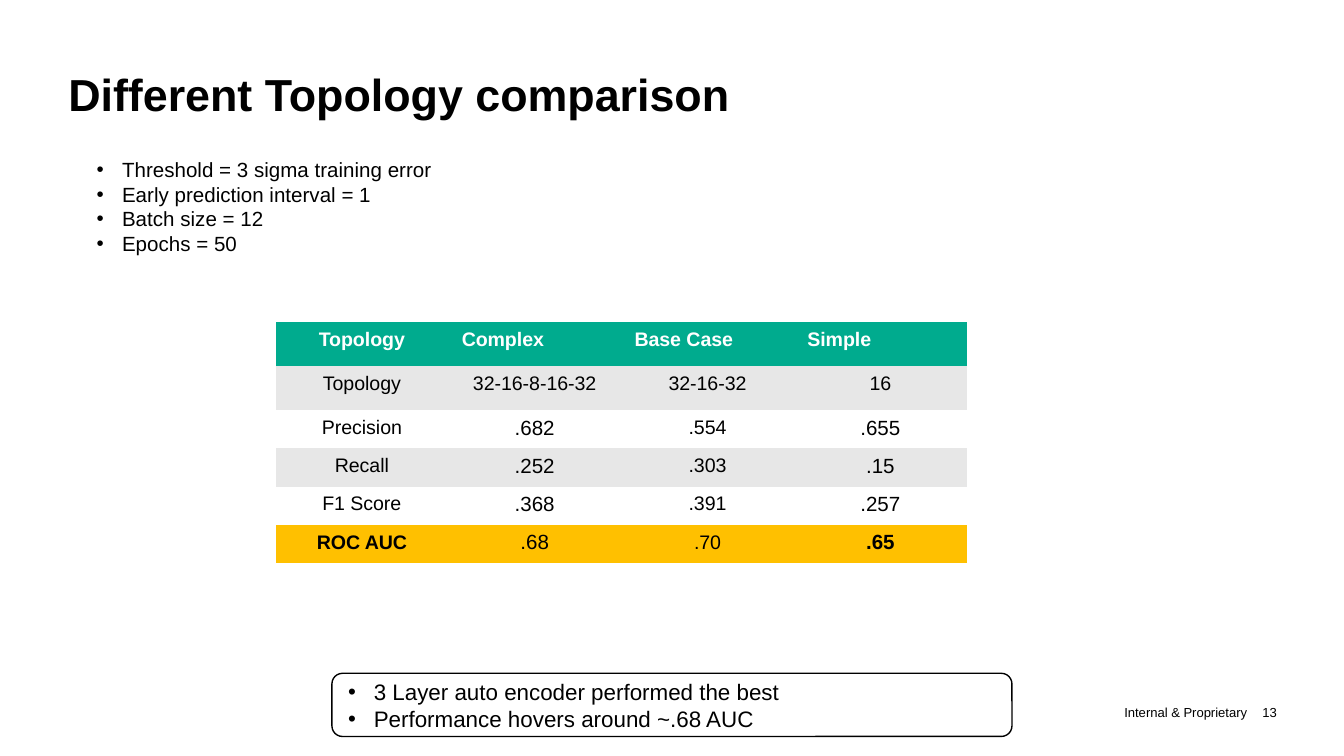
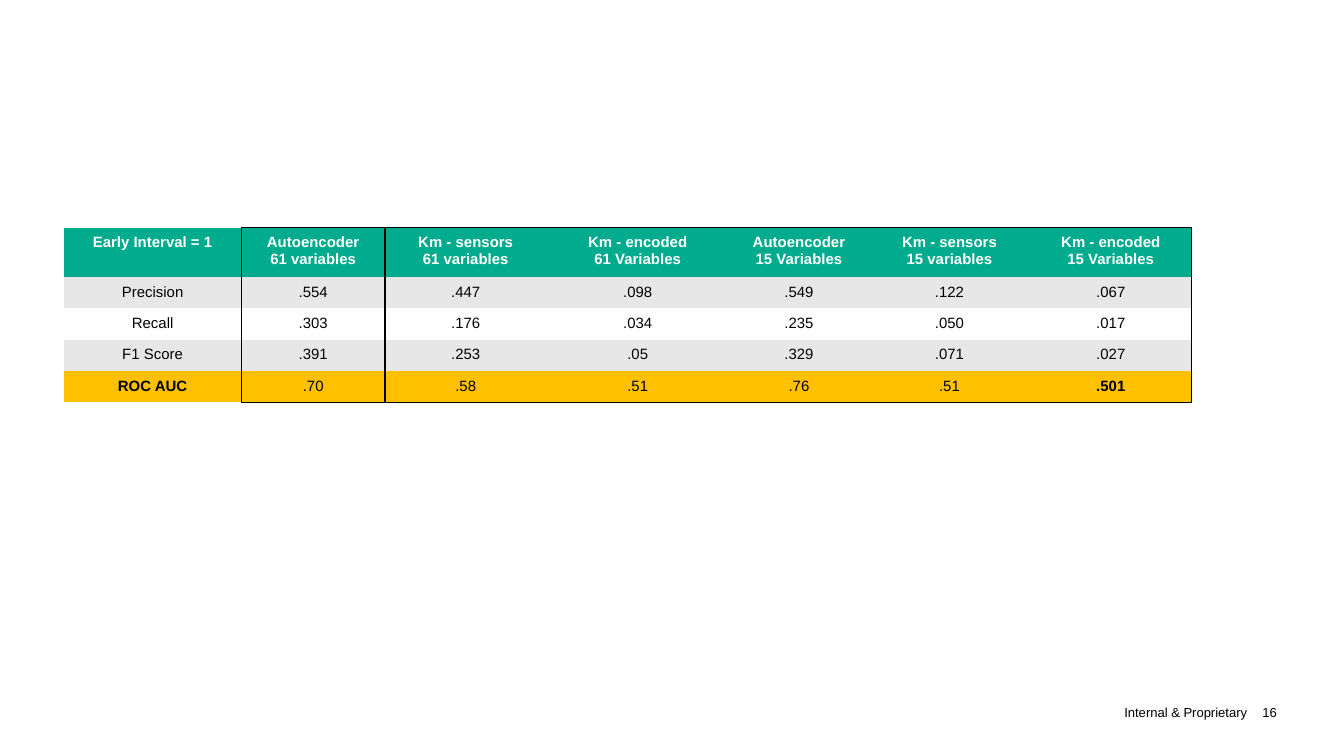
from lxml import etree
from pptx import Presentation
from pptx.dml.color import RGBColor
from pptx.enum.shapes import MSO_SHAPE
from pptx.enum.text import MSO_ANCHOR, PP_ALIGN
from pptx.oxml.ns import qn
from pptx.util import Inches, Pt

COLORS = {
    "text": "000000",
    "header": "00AB8E",
    "header_text": "FFFFFF",
    "band": "E7E7E7",
    "plain": "FFFFFF",
    "highlight": "FFC000",
}
FONT = "Arial"
WIDTH = Inches(10)
HEIGHT = WIDTH * 9 // 16
BLANK = 6

TOPOLOGY_ROWS = [
    ["Topology", "Complex", "Base Case", "Simple"],
    ["Topology", "32-16-8-16-32", "32-16-32", "16"],
    ["Precision", ".682", ".554", ".655"],
    ["Recall", ".252", ".303", ".15"],
    ["F1 Score", ".368", ".391", ".257"],
    ["ROC AUC", ".68", ".70", ".65"],
]
MODEL_ROWS = [
    ["Early Interval = 1", "Autoencoder\n61 variables", "Km - sensors\n61 variables",
     "Km - encoded\n61 Variables", "Autoencoder\n15 Variables",
     "Km - sensors\n15 variables", "Km - encoded\n15 Variables"],
    ["Precision", ".554", ".447", ".098", ".549", ".122", ".067"],
    ["Recall", ".303", ".176", ".034", ".235", ".050", ".017"],
    ["F1 Score", ".391", ".253", ".05", ".329", ".071", ".027"],
    ["ROC AUC", ".70", ".58", ".51", ".76", ".51", ".501"],
]
TALL_ROW, ROW = 5.86, 3.91


def across(percent):
    return round(WIDTH * percent / 100)


def down(percent):
    return round(HEIGHT * percent / 100)


def area(left, top, width, height):
    """Turn percentages of the slide into a position and size."""
    return across(left), down(top), across(width), down(height)


def rgb(name):
    return RGBColor.from_string(COLORS[name])


def style(paragraph, size, color="text", bold=False, align=PP_ALIGN.LEFT):
    paragraph.alignment = align
    for run in paragraph.runs:
        run.font.name = FONT
        run.font.size = Pt(size)
        run.font.bold = bold
        run.font.color.rgb = rgb(color)


def add_text(slide, place, text, size, **look):
    frame = slide.shapes.add_textbox(*place).text_frame
    frame.word_wrap = True
    frame.vertical_anchor = MSO_ANCHOR.MIDDLE
    frame.text = text
    style(frame.paragraphs[0], size, **look)
    return frame


def add_title(slide, text):
    add_text(slide, area(4.1, 6.8, 90, 11.03), text, 24, bold=True)


def add_footer(slide, number):
    footer = add_text(slide, area(57.7, 92.3, 37.3, 3.91),
                      f"Internal & Proprietary\t {number}", 7, align=PP_ALIGN.RIGHT)
    footer.margin_left = footer.margin_right = 0


def fill_bullets(frame, items, size, indent):
    frame.word_wrap = True
    frame.text = "\n".join(items)
    for paragraph in frame.paragraphs:
        properties = paragraph._p.get_or_add_pPr()
        properties.set("marL", str(Inches(indent)))
        properties.set("indent", str(-Inches(0.19)))
        etree.SubElement(properties, qn("a:buFont"), typeface=FONT)
        etree.SubElement(properties, qn("a:buChar"), char="•")
        style(paragraph, size)


def add_settings(slide, items):
    box = slide.shapes.add_textbox(*area(6.1, 19.91, 43.9, 18.31))
    fill_bullets(box.text_frame, items, 11, indent=0.2)


def add_conclusion(slide, items):
    callout = slide.shapes.add_shape(MSO_SHAPE.ROUNDED_RECTANGLE,
                                     *area(24.7, 89.07, 50.6, 8.36))
    callout.shadow.inherit = False
    callout.fill.background()
    callout.line.color.rgb = rgb("text")
    callout.line.width = Pt(0.75)
    callout.text_frame.vertical_anchor = MSO_ANCHOR.MIDDLE
    fill_bullets(callout.text_frame, items, 12, indent=0.19)


def set_borders(cell, widths):
    """Draw the sides in widths (L, R, T, B to points) and clear the others."""
    properties = cell._tc.get_or_add_tcPr()
    for position, side in enumerate("LRTB"):
        line = etree.Element(qn(f"a:ln{side}"))
        if side in widths:
            line.set("w", str(Pt(widths[side])))
            paint = etree.SubElement(line, qn("a:solidFill"))
            etree.SubElement(paint, qn("a:srgbClr"), val=COLORS["text"])
        else:
            etree.SubElement(line, qn("a:noFill"))
        properties.insert(position, line)


def framed_sides(row, column, last_row, last_column):
    """Frame all value columns and rule off the first of them."""
    if column == 0:
        return {"R": 1}
    sides = {}
    if column == 1:
        sides.update(L=1, R=0.75)
    if column == 2:
        sides["L"] = 0.75
    if column == last_column:
        sides["R"] = 1
    if row == 0:
        sides["T"] = 1
    if row == last_row:
        sides["B"] = 1
    return sides


def no_sides(*_):
    return {}


def add_results(slide, place, rows, widths, heights, size_at, sides_at=no_sides,
                header_align=PP_ALIGN.CENTER):
    last_row, last_column = len(rows) - 1, len(widths) - 1
    holder = slide.shapes.add_table(len(rows), len(widths), *place)
    table = holder.table
    table.horz_banding = False
    for column, width in zip(table.columns, widths):
        column.width = across(width)
    for row, height in zip(table.rows, heights):
        row.height = down(height)
    holder.width, holder.height = place[2:]

    for r, values in enumerate(rows):
        header, total = r == 0, r == last_row
        band = "header" if header else "highlight" if total else "band" if r % 2 else "plain"
        for c, value in enumerate(values):
            cell = table.cell(r, c)
            cell.fill.solid()
            cell.fill.fore_color.rgb = rgb(band)
            set_borders(cell, sides_at(r, c, last_row, last_column))
            cell.text_frame.text = value
            for paragraph in cell.text_frame.paragraphs:
                style(paragraph, size_at(r, c),
                      color="header_text" if header else "text",
                      bold=header or total and c in (0, last_column),
                      align=header_align if header and c else PP_ALIGN.CENTER)


def topology_size(row, column):
    return 11 if row > 1 and column in (1, 3) else 10.5


def model_size(row, column):
    return 8


def build_topology_slide(slide):
    add_footer(slide, 13)
    add_title(slide, "Different Topology comparison")
    add_results(slide, area(20.5, 42.55, 51.4, 31.82), TOPOLOGY_ROWS,
                [12.86] * 4, [TALL_ROW] * 2 + [ROW] * 4,
                topology_size, header_align=PP_ALIGN.LEFT)
    add_settings(slide, ["Threshold = 3 sigma training error",
                         "Early prediction interval = 1",
                         "Batch size = 12",
                         "Epochs = 50"])
    add_conclusion(slide, ["3 Layer auto encoder performed the best",
                           "Performance hovers around ~.68 AUC"])


def build_model_slide(slide):
    add_footer(slide, 16)
    add_results(slide, area(4.76, 30.1, 83.7, 23.11), MODEL_ROWS,
                [13.2, 10.7, 12, 13.6, 10.4, 12, 12], [TALL_ROW] + [ROW] * 4,
                model_size, sides_at=framed_sides)


def main():
    deck = Presentation()
    deck.slide_width, deck.slide_height = WIDTH, HEIGHT
    for build in (build_topology_slide, build_model_slide):
        build(deck.slides.add_slide(deck.slide_layouts[BLANK]))
    deck.save("out.pptx")


if __name__ == "__main__":
    main()
